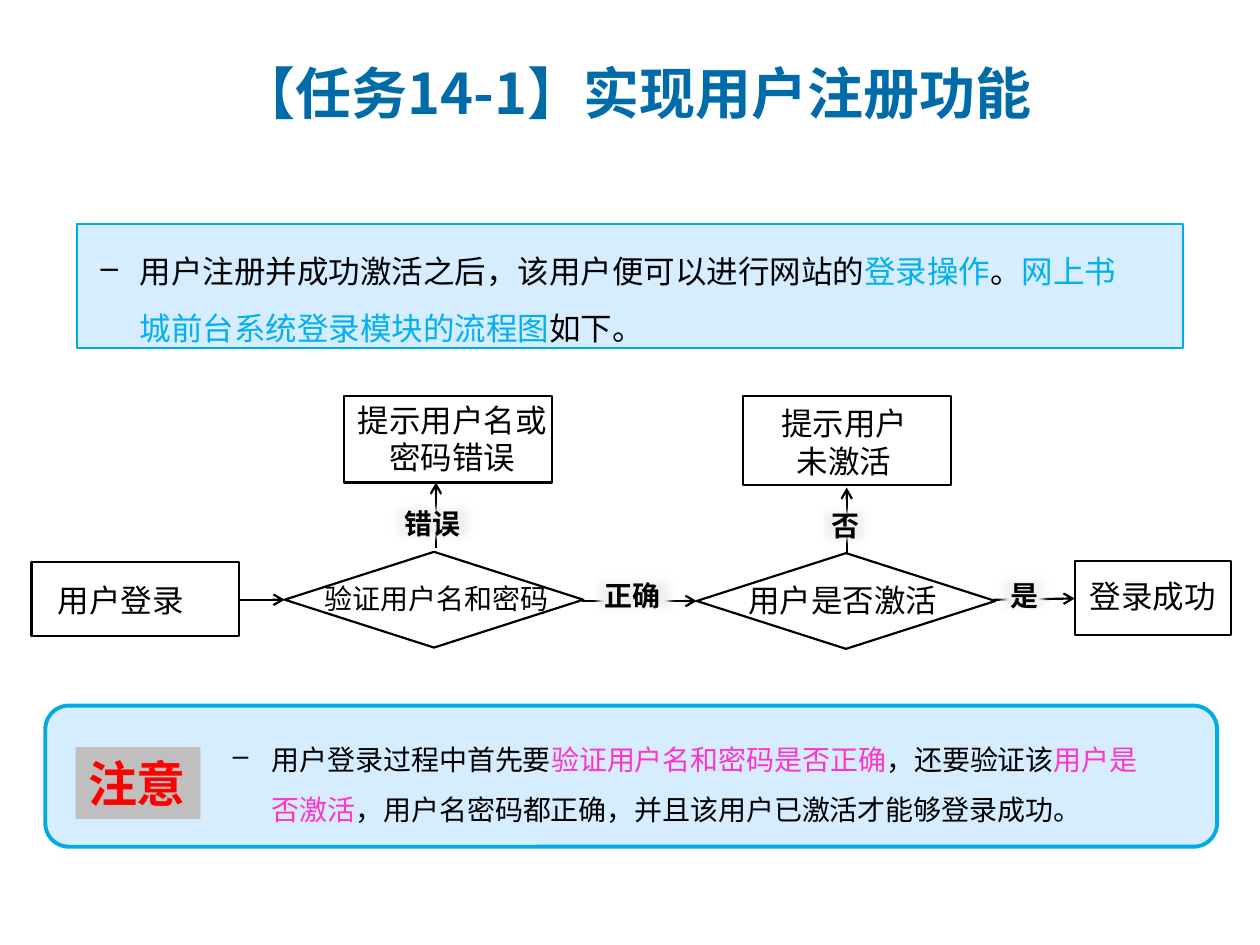
from dataclasses import dataclass

from lxml import etree
from pptx import Presentation
from pptx.dml.color import RGBColor
from pptx.enum.shapes import MSO_CONNECTOR, MSO_SHAPE
from pptx.enum.text import MSO_ANCHOR, PP_ALIGN
from pptx.oxml.ns import qn
from pptx.util import Inches, Pt

RECTANGLE = MSO_SHAPE.RECTANGLE
ROUNDED = MSO_SHAPE.ROUNDED_RECTANGLE
DECISION = MSO_SHAPE.FLOWCHART_DECISION
STRAIGHT = MSO_CONNECTOR.STRAIGHT
LEFT, CENTER = PP_ALIGN.LEFT, PP_ALIGN.CENTER
TOP, MIDDLE = MSO_ANCHOR.TOP, MSO_ANCHOR.MIDDLE
COLUMNS, ROWS = 100, 75


@dataclass(frozen=True)
class Theme:
    ink: str = "000000"
    title: str = "006BA9"
    panel: str = "D6ECFF"
    border: str = "00ACE6"
    accent: str = "00B0F0"
    highlight: str = "FF33CC"
    halo: str = "F2F2F2"
    badge: str = "BFBFBF"
    warning: str = "FF0000"
    latin: str = "Arial"
    chinese: str = "Noto Sans CJK SC"
    title_size: int = 32
    badge_size: int = 28
    body_size: int = 18
    small_size: int = 16
    line_width: float = 1.25


def add_run(paragraph, text, *, size, color, font, chinese, bold=False):
    run = paragraph.add_run()
    run.text = text
    run.font.size = Pt(size)
    run.font.bold = bold
    run.font.color.rgb = RGBColor.from_string(color)
    run.font.name = font
    etree.SubElement(run._r.get_or_add_rPr(), qn("a:ea"), typeface=chinese)


class FlowSlide:
    def __init__(self, presentation, theme):
        self.theme = theme
        self.slide = presentation.slides.add_slide(presentation.slide_layouts[6])
        self.column = presentation.slide_width / COLUMNS
        self.row = presentation.slide_height / ROWS

    def place(self, left, top, width, height):
        return (round(left * self.column), round(top * self.row),
                round(width * self.column), round(height * self.row))

    def shape(self, kind, area, fill=None, line=None, width=None):
        shape = self.slide.shapes.add_shape(kind, *self.place(*area))
        shape.shadow.inherit = False
        if fill:
            shape.fill.solid()
            shape.fill.fore_color.rgb = RGBColor.from_string(fill)
        else:
            shape.fill.background()
        if line:
            shape.line.color.rgb = RGBColor.from_string(line)
            shape.line.width = Pt(width or self.theme.line_width)
        else:
            shape.line.fill.background()
        return shape

    def outline(self, kind, area):
        return self.shape(kind, area, line=self.theme.ink)

    def fill_text(self, shape, lines, size, color=None, font=None, bold=False,
                  align=LEFT, anchor=TOP, wrap=False):
        frame = shape.text_frame
        frame.word_wrap = wrap
        frame.vertical_anchor = anchor
        for index, line in enumerate(lines):
            paragraph = frame.add_paragraph() if index else frame.paragraphs[0]
            paragraph.alignment = align
            for text, run_color in line:
                add_run(paragraph, text, size=size, bold=bold,
                        color=run_color or color or self.theme.ink,
                        font=font or self.theme.latin, chinese=self.theme.chinese)

    def text(self, area, *lines, size=None, **style):
        box = self.slide.shapes.add_textbox(*self.place(*area))
        self.fill_text(box, [[(line, None)] for line in lines],
                       size or self.theme.body_size, **style)

    def bullet(self, area, runs, size):
        box = self.slide.shapes.add_textbox(*self.place(*area))
        self.fill_text(box, [runs], size, wrap=True)
        paragraph = box.text_frame.paragraphs[0]
        paragraph.line_spacing = 1.5
        properties = paragraph._p.get_or_add_pPr()
        properties.set("marL", str(Inches(0.31)))
        properties.set("indent", str(-Inches(0.31)))
        etree.SubElement(properties, qn("a:buChar"), char="–")

    def arrow(self, start, end):
        ends = self.place(*start, *end)
        connector = self.slide.shapes.add_connector(STRAIGHT, *ends)
        connector.line.color.rgb = RGBColor.from_string(self.theme.ink)
        connector.line.width = Pt(self.theme.line_width)
        properties = connector._element.spPr
        etree.SubElement(properties.find(qn("a:ln")), qn("a:tailEnd"), type="arrow")
        etree.SubElement(properties, qn("a:effectLst"))

    def branch(self, text, left, top, width):
        halo = self.shape(RECTANGLE, (left, top, width, 4), fill=self.theme.halo)
        effects = halo._element.spPr.find(qn("a:effectLst"))
        etree.SubElement(effects, qn("a:softEdge"), rad=str(Pt(5)))
        self.text((left + 0.4, top + 0.2, width - 0.8, 3.7), text,
                  size=self.theme.small_size, bold=True)

    def badge(self, text, area):
        shape = self.shape(RECTANGLE, area, fill=self.theme.badge)
        self.fill_text(shape, [[(text, None)]], self.theme.badge_size,
                       color=self.theme.warning, font=self.theme.chinese, bold=True)


def main():
    theme = Theme()
    presentation = Presentation()
    presentation.slide_width, presentation.slide_height = Inches(10), Inches(7.5)
    page = FlowSlide(presentation, theme)

    page.text((18, 4.3, 71.4, 6.1), "【任务14-1】实现用户注册功能", size=theme.title_size,
              color=theme.title, font=theme.chinese, bold=True, anchor=MIDDLE, wrap=True)

    page.shape(RECTANGLE, (6.1, 17.8, 87.8, 9.8), theme.panel, theme.border, 1)
    page.bullet((7, 18, 83.6, 10.1), [
        ("用户注册并成功激活之后，该用户便可以进行网站的", None),
        ("登录操作", theme.accent),
        ("。", None),
        ("网上书城前台系统登录模块的流程图", theme.accent),
        ("如下。", None),
    ], theme.body_size)

    for area in ((27.3, 31.4, 16.5, 6.9), (59, 31.4, 16.5, 7.1),
                 (2.5, 44.6, 16.5, 5.9), (85.3, 44.5, 12.4, 5.9)):
        page.outline(RECTANGLE, area)
    for area in ((22.6, 43.8, 23.7, 7.6), (55.3, 43.9, 23.7, 7.6)):
        page.outline(DECISION, area)

    for start, end in (((34.6, 43.5), (34.6, 38.3)), ((67.2, 43.9), (67.2, 38.7)),
                       ((18.9, 47.6), (22.6, 47.6)), ((46.2, 47.7), (55.3, 47.7)),
                       ((78.9, 47.6), (85.3, 47.5))):
        page.arrow(start, end)

    page.text((27.3, 31.3, 17.2, 7.1), "提示用户名或", "密码错误", align=CENTER, wrap=True)
    page.text((59, 31.6, 16, 7.1), "提示用户", "未激活", align=CENTER, wrap=True)
    page.text((3.6, 45.6, 12.1, 4), "用户登录")
    page.text((24.8, 45.7, 20, 3.7), "验证用户名和密码", size=theme.small_size)
    page.text((58.4, 45.6, 17.2, 4), "用户是否激活")
    page.text((85.5, 45.3, 12.1, 4), "登录成功")

    for label, left, top, width in (("正确", 46.6, 45.2, 7.4), ("是", 78.8, 45.2, 4.9),
                                    ("错误", 30.7, 39.5, 7.4), ("否", 64.6, 39.7, 4.9)):
        page.branch(label, left, top, width)

    page.shape(ROUNDED, (3.6, 56, 93, 11.2), theme.panel, theme.border, 2.25)
    page.bullet((17.5, 57.1, 75.9, 9.1), [
        ("用户登录过程中首先要", None),
        ("验证用户名和密码是否正确", theme.highlight),
        ("，还要验证该", None),
        ("用户是否激活", theme.highlight),
        ("，用户名密码都正确，并且该用户已激活才能够登录成功。", None),
    ], theme.small_size)
    page.badge("注意", (6, 59.3, 9.9, 5.7))

    presentation.save("out.pptx")


if __name__ == "__main__":
    main()
